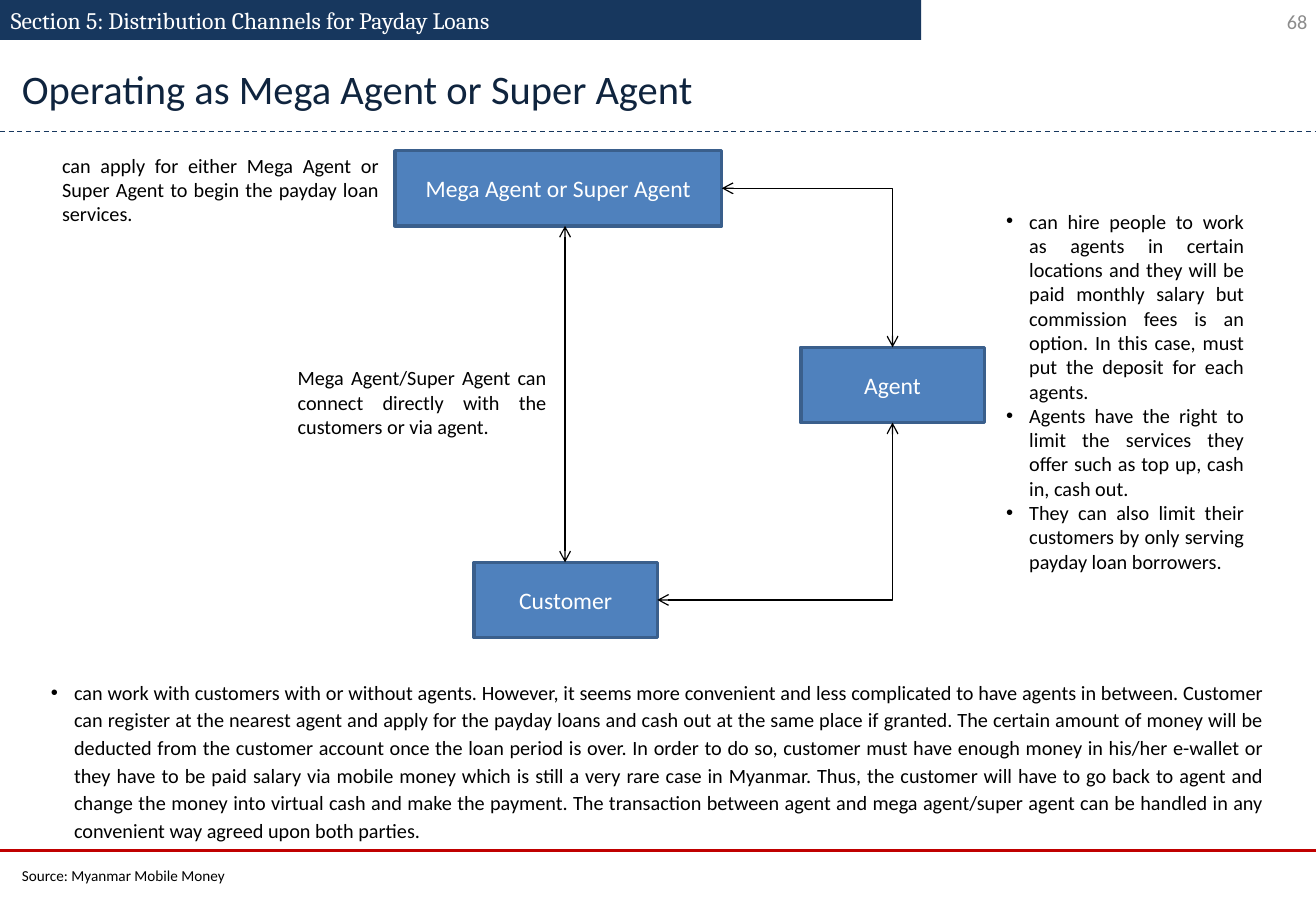
from dataclasses import dataclass

from lxml import etree
from pptx import Presentation
from pptx.dml.color import RGBColor
from pptx.enum.dml import MSO_LINE
from pptx.enum.shapes import MSO_CONNECTOR, MSO_SHAPE
from pptx.enum.text import MSO_ANCHOR, MSO_AUTO_SIZE, PP_ALIGN
from pptx.oxml.ns import qn
from pptx.util import Inches, Pt

RECTANGLE = MSO_SHAPE.RECTANGLE
STRAIGHT, ELBOW = MSO_CONNECTOR.STRAIGHT, MSO_CONNECTOR.ELBOW
DASH = MSO_LINE.DASH
TOP, MIDDLE = MSO_ANCHOR.TOP, MSO_ANCHOR.MIDDLE
LEFT, CENTER = PP_ALIGN.LEFT, PP_ALIGN.CENTER
RIGHT, JUSTIFY = PP_ALIGN.RIGHT, PP_ALIGN.JUSTIFY
GROW = MSO_AUTO_SIZE.SHAPE_TO_FIT_TEXT
SITE_TOP, SITE_BOTTOM, SITE_RIGHT = 0, 2, 3
SLIDE_WIDTH, SLIDE_HEIGHT = 10.83, 7.5
BOX_HEIGHT, SMALL_BOX_WIDTH = 0.62, 1.51

HIRING_NOTES = [
    "can hire people to work as agents in certain locations and they will be paid "
    "monthly salary but commission fees is an option. In this case, must put the "
    "deposit for each agents.",
    "Agents have the right to limit the services they offer such as top up, cash in, "
    "cash out.",
    "They can also limit their customers by only serving payday loan borrowers.",
]
SUMMARY = (
    "can work with customers with or without agents. However, it seems more convenient "
    "and less complicated to have agents in between. Customer can register at the "
    "nearest agent and apply for the payday loans and cash out at the same place if "
    "granted. The certain amount of money will be deducted from the customer account "
    "once the loan period is over. In order to do so, customer must have enough money "
    "in his/her e-wallet or they have to be paid salary via mobile money which is still "
    "a very rare case in Myanmar. Thus, the customer will have to go back to agent and "
    "change the money into virtual cash and make the payment. The transaction between "
    "agent and mega agent/super agent can be handled in any convenient way agreed upon "
    "both parties."
)


@dataclass(frozen=True)
class Theme:
    """Colours, fonts and type sizes of the deck."""

    navy: str = "17375E"
    title_ink: str = "0F243E"
    blue: str = "4F81BD"
    blue_edge: str = "3A5F8C"
    red: str = "C00000"
    grey: str = "8C8C8C"
    black: str = "000000"
    white: str = "FFFFFF"
    font: str = "Calibri"
    section_font: str = "Cambria"
    title_size: int = 24
    label_size: int = 14
    body_size: int = 12
    source_size: int = 9


class SlideBuilder:
    """Draws styled elements on the current slide."""

    def __init__(self, page, theme):
        self.shapes = page.shapes
        self.theme = theme

    def add_span(self, para, text, size, color, font=None):
        """Add one styled run to a paragraph."""
        span = para.add_run()
        span.text = text
        span.font.size = Pt(size)
        span.font.name = font or self.theme.font
        span.font.color.rgb = RGBColor.from_string(color)

    def bullet(self, para):
        """Give a paragraph a hanging bullet."""
        properties = para._p.get_or_add_pPr()
        properties.set("marL", str(Inches(0.19)))
        properties.set("indent", str(Inches(-0.19)))
        etree.SubElement(properties, qn("a:buFont")).set("typeface", "Arial")
        etree.SubElement(properties, qn("a:buChar")).set("char", "•")

    def text(self, area, paragraphs, size=None, color=None, font=None, align=JUSTIFY,
             anchor=TOP, bullets=False, spacing=None):
        """Add a wrapped text box."""
        frame = self.shapes.add_textbox(*map(Inches, area)).text_frame
        frame.word_wrap = True
        if anchor == TOP:
            frame.auto_size = GROW
        frame.vertical_anchor = anchor
        frame.margin_left = frame.margin_right = Inches(0.09)
        frame.margin_top = frame.margin_bottom = Inches(0.05)
        for index, content in enumerate(paragraphs):
            para = frame.add_paragraph() if index else frame.paragraphs[0]
            if bullets:
                self.bullet(para)
            para.alignment = align
            if spacing:
                para.line_spacing = spacing
            self.add_span(para, content, size or self.theme.body_size,
                          color or self.theme.black, font)

    def rectangle(self, area, fill, edge=None):
        """Add a filled rectangle with an optional outline."""
        box = self.shapes.add_shape(RECTANGLE, *map(Inches, area))
        box.shadow.inherit = False
        box.fill.solid()
        box.fill.fore_color.rgb = RGBColor.from_string(fill)
        if edge:
            box.line.color.rgb = RGBColor.from_string(edge)
            box.line.width = Pt(2)
        else:
            box.line.fill.background()
        return box

    def party(self, left, top, width, label):
        """Add a labelled box of the diagram."""
        theme = self.theme
        box = self.rectangle((left, top, width, BOX_HEIGHT), theme.blue, theme.blue_edge)
        box.text_frame.word_wrap = True
        box.text_frame.vertical_anchor = MIDDLE
        para = box.text_frame.paragraphs[0]
        para.alignment = CENTER
        self.add_span(para, label, theme.label_size, theme.white)
        return box

    def line(self, points, color, width=0.75, dash=None, kind=STRAIGHT):
        """Add a connector without a shadow."""
        connector = self.shapes.add_connector(kind, *map(Inches, points))
        connector.line.color.rgb = RGBColor.from_string(color)
        connector.line.width = Pt(width)
        if dash:
            connector.line.dash_style = dash
        etree.SubElement(connector._element.spPr, qn("a:effectLst"))
        return connector

    def two_way(self, points, kind=STRAIGHT):
        """Add a connector with an arrowhead at both ends."""
        connector = self.line(points, self.theme.black, kind=kind)
        outline = connector._element.spPr.find(qn("a:ln"))
        for end in ("a:headEnd", "a:tailEnd"):
            etree.SubElement(outline, qn(end)).set("type", "arrow")
        return connector

    def corner(self, points, start, end):
        """Join two (box, site) pairs by an arrow with a single bend."""
        connector = self.two_way(points, ELBOW)
        connector._element.spPr.find(qn("a:prstGeom")).set("prst", "bentConnector2")
        connector.begin_connect(*start)
        connector.end_connect(*end)


def main():
    """Build the slide and save it."""
    deck = Presentation()
    deck.slide_width, deck.slide_height = Inches(SLIDE_WIDTH), Inches(SLIDE_HEIGHT)
    theme = Theme()
    slide = SlideBuilder(deck.slides.add_slide(deck.slide_layouts[6]), theme)

    slide.text((8.32, -0.02, 2.53, 0.4), ["68"], color=theme.grey, align=RIGHT,
               anchor=MIDDLE)
    slide.line((0, 7, SLIDE_WIDTH, 7), theme.red, 1.5)
    slide.rectangle((0, 0, 7.58, 0.33), theme.navy)
    slide.line((0, 1.08, SLIDE_WIDTH, 1.08), theme.navy, dash=DASH)

    mega_agent = slide.party(3.25, 1.24, 2.69, "Mega Agent or Super Agent")
    agent = slide.party(6.59, 2.86, SMALL_BOX_WIDTH, "Agent")
    customer = slide.party(3.9, 4.63, SMALL_BOX_WIDTH, "Customer")
    slide.two_way((4.65, 4.63, 4.65, 1.86))
    slide.corner((5.41, 4.94, 7.34, 3.48), (customer, SITE_RIGHT), (agent, SITE_BOTTOM))
    slide.corner((5.94, 1.55, 7.34, 2.86), (mega_agent, SITE_RIGHT), (agent, SITE_TOP))

    slide.text((0.42, 1.21, 2.79, 0.71), [
        "can apply for either Mega Agent or Super Agent to begin the payday loan services."])
    slide.text((2.36, 2.96, 2.23, 0.71), [
        "Mega Agent/Super Agent can connect directly with the customers or via agent."])
    slide.text((8.19, 1.67, 2.14, 3.13), HIRING_NOTES, bullets=True)
    slide.text((0.33, 5.52, 10.17, 1.48), [SUMMARY], bullets=True, spacing=1.14)

    slide.text((0.09, 0.48, 10.33, 0.5), ["Operating as Mega Agent or Super Agent"],
               theme.title_size, theme.title_ink, align=LEFT)
    slide.text((0.09, 7.08, 7.76, 0.25), ["Source: Myanmar Mobile Money"],
               theme.source_size, align=LEFT)
    slide.text((0, 0, 7.58, 0.34), ["Section 5: Distribution Channels for Payday Loans"],
               theme.label_size, theme.white, theme.section_font, LEFT)
    deck.save("out.pptx")


if __name__ == "__main__":
    main()
